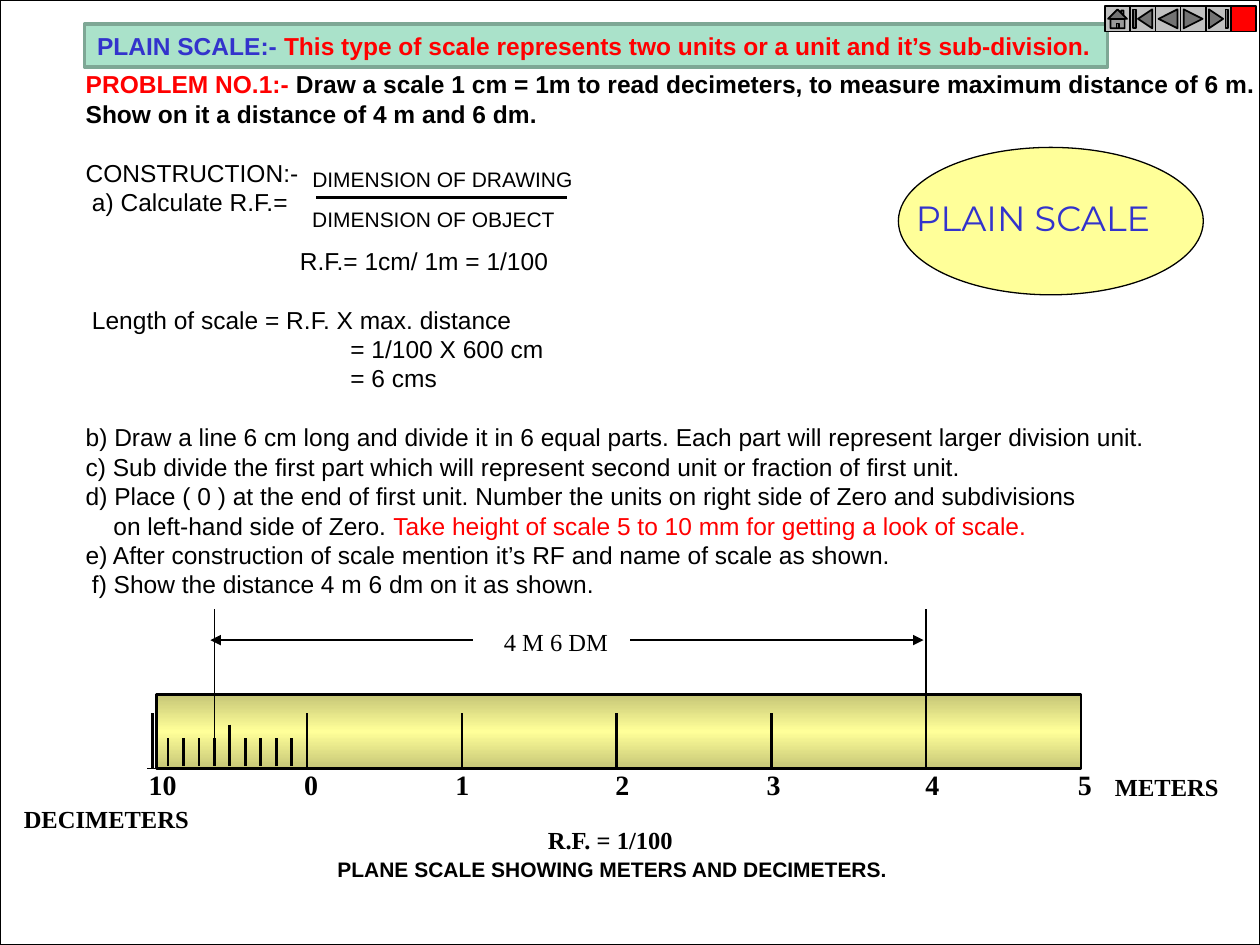
from copy import deepcopy

from lxml import etree
from pptx import Presentation
from pptx.dml.color import RGBColor
from pptx.enum.shapes import MSO_CONNECTOR, MSO_SHAPE
from pptx.enum.text import MSO_ANCHOR, MSO_AUTO_SIZE, PP_ALIGN
from pptx.oxml.ns import qn
from pptx.util import Inches, Pt

BLACK, RED, BLUE, YELLOW = "000000", "FF0000", "3333CC", "FFFF99"
SERIF = "Times New Roman"


def rgb(color):
    return RGBColor.from_string(color)


def add_run(paragraph, text, size=14, font="Arial", color=BLACK, bold=False):
    run = paragraph.add_run()
    run.text = text
    run.font.size = Pt(size)
    run.font.name = font
    run.font.bold = bold
    run.font.color.rgb = rgb(color)


def add_text(slide, text, box, align=PP_ALIGN.LEFT, **style):
    shape = slide.shapes.add_textbox(*map(Inches, box))
    shape.text_frame.word_wrap = False
    paragraph = shape.text_frame.paragraphs[0]
    paragraph.alignment = align
    add_run(paragraph, text, **style)


def add_line(slide, x1, y1, x2, y2, width=1.5, arrow=False):
    line = slide.shapes.add_connector(MSO_CONNECTOR.STRAIGHT, *map(Inches, (x1, y1, x2, y2)))
    line.line.color.rgb = rgb(BLACK)
    line.line.width = Pt(width)
    properties = line.element.spPr
    if arrow:
        etree.SubElement(properties.find(qn("a:ln")), qn("a:tailEnd"), type="triangle")
    etree.SubElement(properties, qn("a:effectLst"))


def add_box(slide, kind, box, fill=None, width=0.75):
    shape = slide.shapes.add_shape(kind, *map(Inches, box))
    shape.shadow.inherit = False
    if fill:
        shape.fill.solid()
        shape.fill.fore_color.rgb = rgb(fill)
    else:
        shape.fill.background()
    shape.line.color.rgb = rgb(BLACK)
    shape.line.width = Pt(width)
    return shape


def place(shape, box):
    shape.left, shape.top, shape.width, shape.height = map(Inches, box)
    shape.text_frame.auto_size = MSO_AUTO_SIZE.NONE


def fill_title(title, box):
    place(title, box)
    title.fill.solid()
    title.fill.fore_color.rgb = rgb("AAE2CA")
    title.line.color.rgb = rgb("7EA795")
    title.line.width = Pt(2)
    title.text_frame.word_wrap = False
    title.text_frame.vertical_anchor = MSO_ANCHOR.MIDDLE
    paragraph = title.text_frame.paragraphs[0]
    paragraph.alignment = PP_ALIGN.LEFT
    add_run(paragraph, "PLAIN SCALE:- ", color=BLUE, bold=True)
    add_run(paragraph, "This type of scale represents two units or a unit and it’s sub-division.",
            color=RED, bold=True)


def fill_problem(body, box):
    # Each line: left indent, blank line above, then (text, format) runs
    red, bold = {"color": RED}, {"bold": True}
    lines = [
        (0, False, ("PROBLEM NO.1:- ", red | bold),
         ("Draw a scale 1 cm = 1m to read decimeters, to measure maximum distance of 6 m.", bold)),
        (0, False, ("Show on it a distance of 4 m and 6 dm.", bold)),
        (0, True, ("CONSTRUCTION:-", {})),
        (0.05, False, ("a) Calculate R.F.=", {})),
        (1.7, True, ("R.F.= 1cm/ 1m = 1/100", {})),
        (0.05, True, ("Length of scale = R.F. X max. distance", {})),
        (2.1, False, ("= 1/100 X 600 cm", {})),
        (2.1, False, ("= 6 cms", {})),
        (0, True, ("b) Draw a line 6 cm long and divide it in 6 equal parts. "
                   "Each part will represent larger division unit.", {})),
        (0, False, ("c) Sub divide the first part which will represent second unit "
                    "or fraction of first unit.", {})),
        (0, False, ("d) Place ( 0 ) at the end of first unit. Number the units on right side "
                    "of Zero and subdivisions", {})),
        (0.22, False, ("on left-hand side of Zero. ", {}),
         ("Take height of scale 5 to 10 mm for getting a look of scale.", red)),
        (0, False, ("e) After construction of scale mention it’s RF and name of scale as shown.", {})),
        (0.05, False, ("f) Show the distance 4 m 6 dm on it as shown.", {})),
    ]
    place(body, box)
    frame = body.text_frame
    frame.word_wrap = True
    frame.vertical_anchor = MSO_ANCHOR.TOP
    pitch = Pt(16.8)
    for index, (indent, gap, *runs) in enumerate(lines):
        paragraph = frame.add_paragraph() if index else frame.paragraphs[0]
        properties = paragraph._p.get_or_add_pPr()
        properties.set("marL", str(Inches(indent)))
        properties.set("indent", "0")
        etree.SubElement(properties, qn("a:buNone"))
        paragraph.line_spacing = pitch
        paragraph.space_before = pitch if gap else Pt(0)
        for text, style in runs:
            add_run(paragraph, text, **style)


def add_fraction(slide, left, top):
    add_text(slide, "DIMENSION OF DRAWING", (left, top, 2.28, 0.3), size=12)
    add_text(slide, "DIMENSION OF OBJECT", (left, top + 0.32, 2.13, 0.3), size=12)
    add_line(slide, left + 0.13, top + 0.3, left + 2.12, top + 0.3)


def add_badge(slide, box):
    left, top, width, _ = box
    add_box(slide, MSO_SHAPE.OVAL, box, YELLOW)
    add_text(slide, "PLAIN SCALE", (left + 0.04, top + 0.34, width - 0.07, 0.43),
             size=20, font="Montserrat", color=BLUE)


def add_ruler(slide, box):
    left, top, width, height = box
    bottom = top + height
    bar = add_box(slide, MSO_SHAPE.RECTANGLE, box, width=1.5)
    # Dark edges, light middle
    bar.fill.gradient()
    bar.fill.gradient_angle = 270
    edge, middle = bar.fill.gradient_stops
    edge.color.rgb, middle.color.rgb = rgb("C6C677"), rgb(YELLOW)
    edge.position, middle.position = 0, 0.5
    stops = bar.element.spPr.find(".//" + qn("a:gsLst"))
    stops.append(deepcopy(stops[0]))
    stops[2].set("pos", "100000")

    # Meter ticks and their numbers
    first, unit = left - 0.03, 1.228
    centers = [1.29, 2.47, 3.67, 4.94, 6.14, 7.4, 8.61]
    for index, (label, center) in enumerate(zip(["10", *"012345"], centers)):
        x = first + index * unit
        add_line(slide, x, top + 0.15, x, bottom)
        add_text(slide, label, (center - 0.21, bottom - 0.06, 0.42, 0.37),
                 align=PP_ALIGN.CENTER, size=16, font=SERIF, bold=True)
    # Decimeter ticks, the fifth one taller
    for tenth in range(1, 10):
        x = first + tenth * unit / 10
        add_line(slide, x, top + (0.24 if tenth == 5 else 0.35), x, bottom - 0.02)
    add_line(slide, left - 0.07, bottom, left + width, bottom, 0.75)


def add_distance(slide, left, right, top):
    # Extension lines, then arrows pointing outward from the value
    add_line(slide, left, top + 1.09, left, top, 0.75)
    add_line(slide, right, top + 0.92, right, top, 0.75)
    y = top + 0.25
    add_line(slide, 3.75, y, left - 0.03, y, 0.75, arrow=True)
    add_line(slide, 5, y, right - 0.02, y, 0.75, arrow=True)
    add_text(slide, "4 M 6 DM", (3.9, y - 0.15, 1.03, 0.33), font=SERIF)


def add_captions(slide):
    for text, box in [("METERS", (8.75, 6.08, 1.02, 0.33)),
                      ("DECIMETERS", (0.09, 6.33, 1.51, 0.33)),
                      ("R.F. = 1/100", (4.25, 6.5, 1.21, 0.33))]:
        add_text(slide, text, box, font=SERIF, bold=True)
    add_text(slide, "PLANE SCALE SHOWING METERS AND DECIMETERS.",
             (2.58, 6.75, 4.57, 0.3), size=12, bold=True)


def add_navigation(slide, left, top, side):
    kinds = [MSO_SHAPE.ACTION_BUTTON_HOME, MSO_SHAPE.ACTION_BUTTON_BEGINNING,
             MSO_SHAPE.ACTION_BUTTON_BACK_OR_PREVIOUS, MSO_SHAPE.ACTION_BUTTON_FORWARD_OR_NEXT,
             MSO_SHAPE.ACTION_BUTTON_END, MSO_SHAPE.ACTION_BUTTON_CUSTOM]
    for index, kind in enumerate(kinds):
        fill = RED if kind == MSO_SHAPE.ACTION_BUTTON_CUSTOM else "C0C0C0"
        add_box(slide, kind, (left + index * side, top, side, side), fill, 1)


def main():
    presentation = Presentation()
    presentation.slide_width, presentation.slide_height = Inches(10), Inches(7.5)
    slide = presentation.slides.add_slide(presentation.slide_layouts[1])
    add_box(slide, MSO_SHAPE.RECTANGLE, (0, 0, 10, 7.5))
    fill_title(slide.shapes.title, (0.67, 0.19, 8.12, 0.34))
    fill_problem(slide.placeholders[1], (0.58, 0.5, 9.53, 4.81))
    add_fraction(slide, 2.38, 1.27)
    add_badge(slide, (7.13, 1.17, 2.42, 1.17))
    add_ruler(slide, (1.24, 5.51, 7.34, 0.59))
    add_distance(slide, 1.7, 7.35, 4.83)
    add_captions(slide)
    add_navigation(slide, 8.77, 0.05, 0.2)
    presentation.save("out.pptx")


if __name__ == "__main__":
    main()
